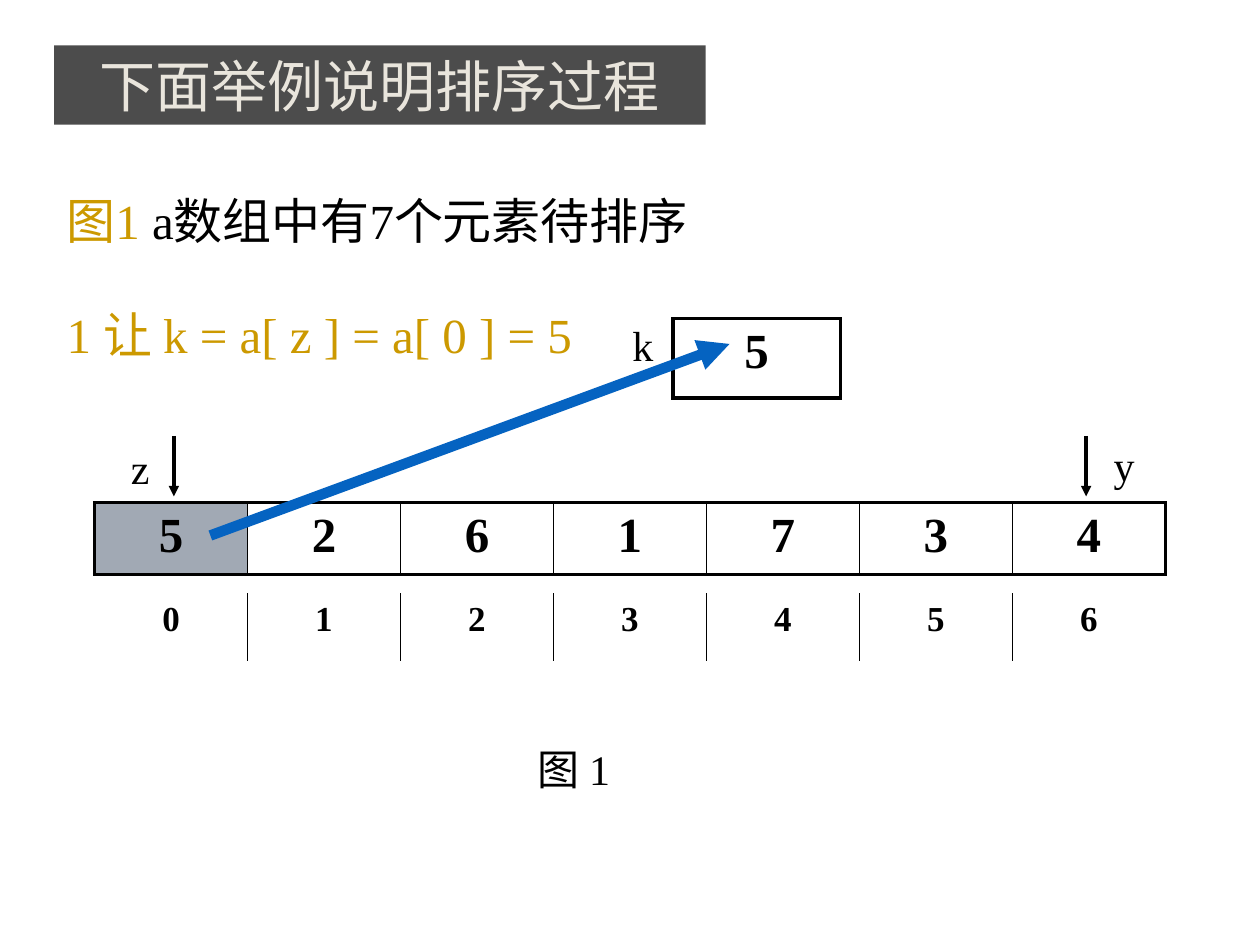
from lxml import etree
from pptx import Presentation
from pptx.dml.color import RGBColor
from pptx.enum.shapes import MSO_CONNECTOR, MSO_SHAPE
from pptx.enum.text import MSO_ANCHOR, PP_ALIGN
from pptx.oxml.ns import qn
from pptx.util import Inches, Pt

STRAIGHT = MSO_CONNECTOR.STRAIGHT
RECTANGLE = MSO_SHAPE.RECTANGLE
CENTER, LEFT = PP_ALIGN.CENTER, PP_ALIGN.LEFT
TOP = MSO_ANCHOR.TOP

SERIF, CJK = "Times New Roman", "Noto Sans CJK SC"
BLACK, GOLD, BLUE, SLATE, CREAM = "000000", "CC9900", "0563C1", "44546A", "E9E5DC"
THIN, THICK = 1, 2.25
ARRAY_LEFT, ARRAY_WIDTH = 0.75, 8.5


def rgb(color):
    return RGBColor.from_string(color)


def set_fill(fill, color, opacity=100):
    fill.solid()
    fill.fore_color.rgb = rgb(color)
    if opacity < 100:
        clr = fill._xPr.find(qn("a:solidFill")).find(qn("a:srgbClr"))
        etree.SubElement(clr, qn("a:alpha"), val=str(opacity * 1000))


def add_run(p, text, size, color=BLACK, font=SERIF, bold=False):
    r = p.add_run()
    r.text = text
    r.font.size = Pt(size)
    r.font.name = font
    r.font.bold = bold
    r.font.color.rgb = rgb(color)


def add_text(slide, x, y, w, h, paragraphs, size, gap=0):
    """Each paragraph is a list of (text, color) runs; gap is the points between them."""
    tf = slide.shapes.add_textbox(Inches(x), Inches(y), Inches(w), Inches(h)).text_frame
    tf.word_wrap = True
    for i, runs in enumerate(paragraphs):
        p = tf.add_paragraph() if i else tf.paragraphs[0]
        p.alignment = LEFT
        p.space_before = Pt(gap if i else 0)
        for text, color in runs:
            add_run(p, text, size, color)


def add_label(slide, x, y, w, text):
    add_text(slide, x, y, w, 0.5, [[(text, BLACK)]], 24)


def add_title(slide, text):
    sp = slide.shapes.add_shape(RECTANGLE, Inches(0.43), Inches(0.36), Inches(5.17), Inches(0.63))
    sp.shadow.inherit = False
    sp.line.fill.background()
    set_fill(sp.fill, BLACK, 70)
    p = sp.text_frame.paragraphs[0]
    p.alignment = CENTER
    add_run(p, text, 32, CREAM, CJK)


def add_arrow(slide, x1, y1, x2, y2, color, width):
    line = slide.shapes.add_connector(STRAIGHT, Inches(x1), Inches(y1), Inches(x2), Inches(y2))
    line.line.color.rgb = rgb(color)
    line.line.width = Pt(width)
    etree.SubElement(line.line._get_or_add_ln(), qn("a:tailEnd"), type="triangle")
    etree.SubElement(line._element.spPr, qn("a:effectLst"))


def set_borders(cell, left, right, top, bottom):
    """Widths in points; 0 means no border."""
    tc_pr = cell._tc.get_or_add_tcPr()
    widths = {"a:lnL": left, "a:lnR": right, "a:lnT": top, "a:lnB": bottom}
    for i, (tag, width) in enumerate(widths.items()):
        ln = etree.Element(qn(tag), w=str(Pt(width)))
        if width:
            fill = etree.SubElement(ln, qn("a:solidFill"))
            etree.SubElement(fill, qn("a:srgbClr"), val=BLACK)
        else:
            etree.SubElement(ln, qn("a:noFill"))
        tc_pr.insert(i, ln)


def add_row_table(slide, x, y, w, h, values, size, outline):
    """One row of centred bold values, thin lines between them, and an outline."""
    count = len(values)
    table = slide.shapes.add_table(1, count, Inches(x), Inches(y), Inches(w), Inches(h)).table
    table.first_row = table.horz_banding = False
    for i, value in enumerate(values):
        table.columns[i].width = Inches(w / count)
        cell = table.cell(0, i)
        cell.vertical_anchor = TOP
        cell.fill.background()
        set_borders(cell, THIN if i else outline, THIN if i < count - 1 else outline,
                    outline, outline)
        p = cell.text_frame.paragraphs[0]
        p.alignment = CENTER
        add_run(p, str(value), size, bold=True)
    return table


def main():
    prs = Presentation()
    prs.slide_width, prs.slide_height = Inches(10), Inches(7.5)
    slide = prs.slides.add_slide(prs.slide_layouts[6])

    add_title(slide, "下面举例说明排序过程")
    add_text(slide, 0.43, 1.46, 8.82, 1.5, [
        [("图1", GOLD), (" a数组中有7个元素待排序", BLACK)],
        [("1 让 k = a[ z ] = a[ 0 ] = 5", GOLD)],
    ], 28, gap=32)

    values = [5, 2, 6, 1, 7, 3, 4]
    array = add_row_table(slide, ARRAY_LEFT, 3.99, ARRAY_WIDTH, 0.56, values, 28, THICK)
    set_fill(array.cell(0, 0).fill, SLATE, 50)
    add_row_table(slide, ARRAY_LEFT, 4.71, ARRAY_WIDTH, 0.54, range(len(values)), 20, 0)

    add_label(slide, 0.94, 3.46, 0.43, "z")
    add_label(slide, 8.74, 3.44, 0.43, "y")
    for x in (1.38, 8.62):
        add_arrow(slide, x, 3.46, x, 3.94, BLACK, 2)
    add_label(slide, 4.17, 5.85, 1.22, "图 1")

    add_row_table(slide, 5.34, 2.53, 1.33, 0.63, [5], 28, THICK)
    add_label(slide, 4.92, 2.49, 0.71, "k")
    add_arrow(slide, 1.67, 4.25, 5.79, 2.73, BLUE, 6)

    prs.save("out.pptx")


if __name__ == "__main__":
    main()
